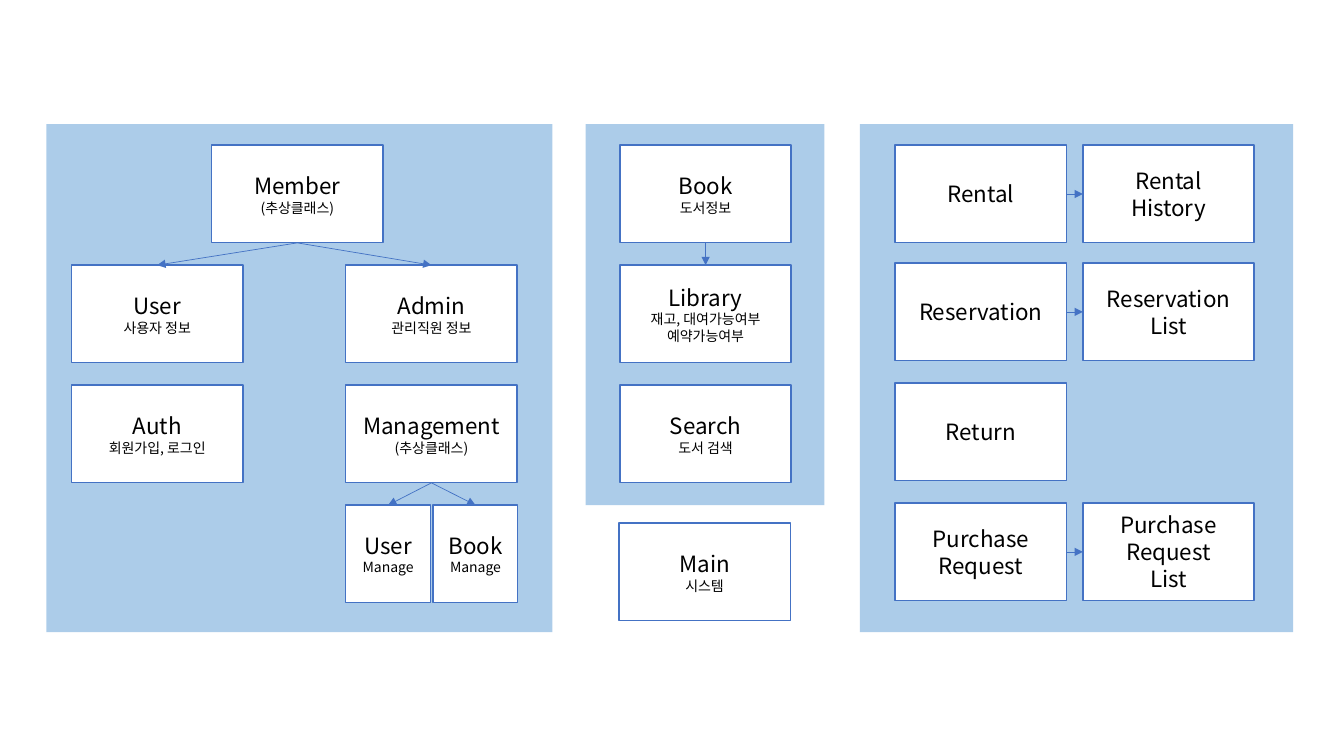
from lxml.etree import SubElement as Sub
from pptx import Presentation
from pptx.dml.color import RGBColor
from pptx.enum.shapes import MSO_CONNECTOR as Link, MSO_SHAPE as Form
from pptx.enum.text import MSO_ANCHOR as Anchor, PP_ALIGN as Align
from pptx.oxml.ns import qn
from pptx.util import Pt

WHITE = RGBColor(0xFF, 0xFF, 0xFF)
BLACK = RGBColor(0, 0, 0)
SKY = RGBColor(0x5B, 0x9B, 0xD5)
BLUE = RGBColor(0x44, 0x72, 0xC4)
FONT = "Noto Sans CJK KR"

BIG, SMALL = 16, 10
WIDE, HALF, HIGH = 122.4, 60.5, 69.8
TOP, STEP = 103.7, 85.7
LEFT, STAFF, BOOKS, RENT, LISTS = 51.1, 247, 442.8, 639.4, 773.5
UP, WEST, DOWN, EAST = range(4)  # connection sites of a rectangle


def row(num, shift=0):
    """Return the top of a grid row, moved by shift."""
    return TOP + num * STEP + shift


def write(frame, text, size=BIG, color=BLACK, font=FONT, first=False):
    """Add one centred paragraph to a text frame."""
    para = frame.paragraphs[0] if first else frame.add_paragraph()
    para.alignment = Align.CENTER
    run = para.add_run()
    run.text = text
    run.font.size = Pt(size)
    run.font.color.rgb = color
    run.font.name = font
    Sub(run.font._element, qn("a:ea"), typeface=font)


class Chart:
    """Class diagram: its style and the current slide."""

    def __init__(self, slide):
        """Keep the slide to draw on."""
        self.shapes = slide.shapes

    def rect(self, x, y, wide, high, fill):
        """Draw a plain filled rectangle without shadow."""
        shape = self.shapes.add_shape(
            Form.RECTANGLE, Pt(x), Pt(y), Pt(wide), Pt(high))
        shape.shadow.inherit = False
        shape.fill.solid()
        shape.fill.fore_color.rgb = fill
        return shape

    def panel(self, x, wide, high):
        """Draw a half transparent group background."""
        shape = self.rect(x, 88.6, wide, high, SKY)
        shape.line.fill.background()
        color = shape.element.spPr.find(".//" + qn("a:srgbClr"))
        Sub(color, qn("a:alpha"), val="50000")

    def box(self, x, y, names, notes=(), wide=WIDE):
        """Draw a class box with large names and small notes."""
        shape = self.rect(x, y, wide, HIGH, WHITE)
        shape.line.color.rgb = BLUE
        shape.line.width = Pt(1)
        frame = shape.text_frame
        frame.word_wrap = True
        frame.vertical_anchor = Anchor.MIDDLE
        for num, name in enumerate(names):
            write(frame, name, first=num == 0)
        for note in notes:
            write(frame, note, size=SMALL)
        return shape

    def arrow(self, start, end, out=DOWN, into=UP):
        """Join two boxes with a thin arrow."""
        line = self.shapes.add_connector(Link.STRAIGHT, 0, 0, 0, 0)
        line.begin_connect(start, out)
        line.end_connect(end, into)
        line.line.color.rgb = BLUE
        line.line.width = Pt(0.5)
        props = line.element.spPr
        Sub(props.find(qn("a:ln")), qn("a:tailEnd"), type="triangle")
        Sub(props, qn("a:effectLst"))


def members(chart):
    """Draw the member classes."""
    member = chart.box(151.2, row(0), ["Member"], ["(추상클래스)"])
    user = chart.box(LEFT, row(1), ["User"], ["사용자 정보"])
    chart.box(LEFT, row(2), ["Auth"], ["회원가입, 로그인"])
    admin = chart.box(STAFF, row(1), ["Admin"], ["관리직원 정보"])
    manage = chart.box(STAFF, row(2), ["Management"], ["(추상클래스)"])
    parts = [chart.box(STAFF + num * 62.4, row(3), [name], ["Manage"], HALF)
             for num, name in enumerate(["User", "Book"])]
    for end in (user, admin):
        chart.arrow(member, end)
    for end in parts:
        chart.arrow(manage, end)


def books(chart):
    """Draw the book classes and the main system."""
    book = chart.box(BOOKS, row(0), ["Book"], ["도서정보"])
    shelf = chart.box(BOOKS, row(1), ["Library"],
                      ["재고, 대여가능여부", "예약가능여부"])
    chart.box(BOOKS, row(2), ["Search"], ["도서 검색"])
    chart.box(BOOKS - 0.7, 373.7, ["Main"], ["시스템"])
    chart.arrow(book, shelf)


def rentals(chart):
    """Draw the rental classes, each with its list if it has one."""
    rows = [(["Rental"], ["Rental", "History"]),
            (["Reservation"], ["Reservation", "List"]),
            (["Return"], None),
            (["Purchase", "Request"], ["Purchase", "Request", "List"])]
    for num, (names, store) in enumerate(rows):
        y = row(num, shift=-1.5 if num else 0)
        start = chart.box(RENT, y, names)
        if store:
            end = chart.box(LISTS, y, store)
            chart.arrow(start, end, out=EAST, into=WEST)


deck = Presentation()
deck.slide_width, deck.slide_height = Pt(960), Pt(540)
chart = Chart(deck.slides.add_slide(deck.slide_layouts[6]))
for x, wide, high in [(418.3, 170.6, 272.2), (614.2, 309.6, 362.9),
                      (33.1, 361.4, 362.9)]:
    chart.panel(x, wide, high)
members(chart)
books(chart)
rentals(chart)
deck.save("out.pptx")
